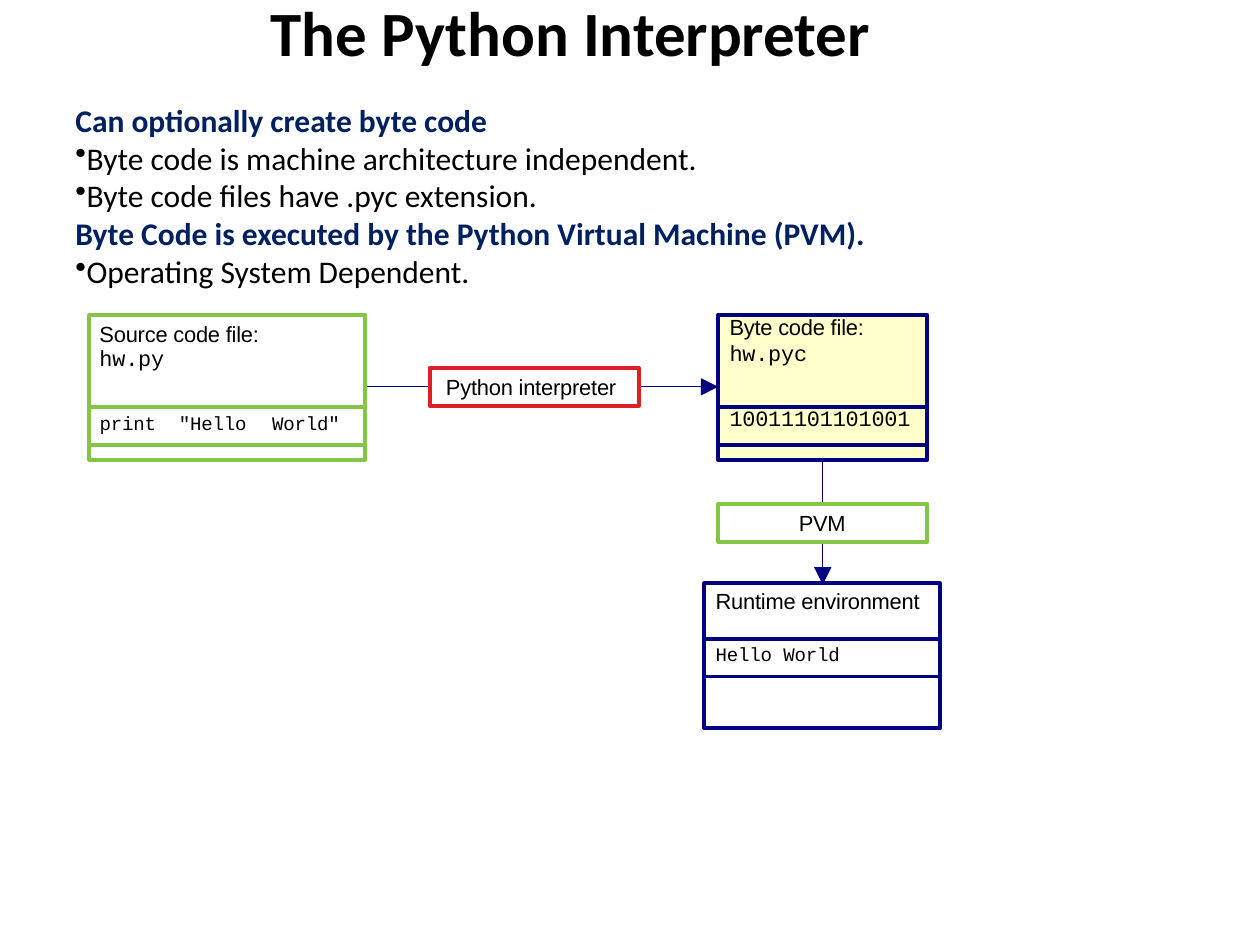
from dataclasses import dataclass
from typing import Any

from lxml.etree import SubElement
from pptx import Presentation
from pptx.dml.color import RGBColor
from pptx.enum.shapes import MSO_CONNECTOR, MSO_SHAPE
from pptx.enum.text import PP_ALIGN
from pptx.oxml.ns import qn
from pptx.util import Inches, Pt

COLORS = {
    "navy": "000080",
    "green": "84C446",
    "red": "DB2028",
    "cream": "FFFFCC",
    "white": "FFFFFF",
    "black": "000000",
    "heading": "002060",
}


@dataclass
class InterpreterSlide:
    """Draws the parts of the interpreter diagram on one slide."""

    slide: Any
    label_font: str = "Arial"
    code_font: str = "Courier New"
    body_font: str = "Calibri"
    label_size: float = 12.5
    code_size: float = 18.8
    border: float = 2.25

    def color(self, name):
        return RGBColor.from_string(COLORS[name])

    def box(self, left, top, width, height, outline, fill=None):
        box = self.slide.shapes.add_shape(
            MSO_SHAPE.RECTANGLE, Inches(left), Inches(top), Inches(width), Inches(height))
        box.shadow.inherit = False
        box.line.color.rgb = self.color(outline)
        box.line.width = Pt(self.border)
        if fill:
            box.fill.solid()
            box.fill.fore_color.rgb = self.color(fill)
        else:
            box.fill.background()

    def arrow(self, x1, y1, x2, y2):
        arrow = self.slide.shapes.add_connector(
            MSO_CONNECTOR.STRAIGHT, Inches(x1), Inches(y1), Inches(x2), Inches(y2))
        arrow.line.color.rgb = self.color("navy")
        arrow.line.width = Pt(0.75)
        SubElement(arrow.line._get_or_add_ln(), qn("a:tailEnd"), type="triangle", w="lg", len="lg")
        SubElement(arrow._element.spPr, qn("a:effectLst"))

    def frame(self, left, top, width, height, inset=0.0):
        frame = self.slide.shapes.add_textbox(
            Inches(left), Inches(top), Inches(width), Inches(height)).text_frame
        frame.word_wrap = True
        frame.margin_left = frame.margin_right = Inches(inset)
        frame.margin_top = frame.margin_bottom = Inches(inset / 2)
        return frame

    def paragraph(self, frame, text, font, size, color="black", bold=False, line=None,
                  before=0, indent=0.0, tracking=0, baseline=0, bullet=False):
        first = not frame.paragraphs[0].runs
        paragraph = frame.paragraphs[0] if first else frame.add_paragraph()
        run = paragraph.add_run()
        run.text = text
        paragraph.font.name = font
        paragraph.font.size = Pt(size)
        paragraph.font.bold = bold
        paragraph.font.color.rgb = self.color(color)
        paragraph.space_before = Pt(before)
        if line:
            paragraph.line_spacing = line
        properties = paragraph._p.get_or_add_pPr()
        properties.set("marL", str(Inches(indent)))
        properties.set("indent", "0")
        if bullet:
            mark = SubElement(properties, qn("a:buChar"), char="•")
            properties.find(qn("a:defRPr")).addprevious(mark)
        for key, value in (("spc", tracking), ("baseline", baseline)):
            if value:
                run._r.get_or_add_rPr().set(key, str(value))
        return paragraph

    def label(self, left, top, width, text):
        frame = self.frame(left, top, width, 0.2)
        self.paragraph(frame, text, self.label_font, self.label_size,
                       line=Pt(13.9), before=0.7, indent=0.01, tracking=-10)
        return frame

    def code(self, left, top, width, text):
        self.paragraph(self.frame(left, top, width, 0.2), text, self.code_font, self.code_size,
                       line=Pt(14.1), before=0.7, indent=0.01, tracking=-10, baseline=5000)

    def file_line(self, frame, text, before, indent):
        self.paragraph(frame, text, self.code_font, self.label_size,
                       line=0.94, before=before, indent=indent, tracking=-10)


def main():
    deck = Presentation()
    deck.slide_width, deck.slide_height = Inches(10), Inches(7.5)
    page = InterpreterSlide(deck.slides.add_slide(deck.slide_layouts[6]))

    page.arrow(2.9, 3.07, 5.7, 3.07)
    page.arrow(6.53, 3.67, 6.53, 4.64)
    for left, top, width, height, outline, fill in (
        (5.7, 2.5, 1.66, 1.15, "navy", "cream"),
        (0.71, 2.5, 2.19, 1.15, "green", None),
        (0.71, 3.23, 2.19, 0.3, "green", None),
        (5.7, 3.23, 1.66, 0.3, "navy", None),
        (3.41, 2.92, 1.66, 0.3, "red", "white"),
        (5.7, 4, 1.66, 0.3, "green", "white"),
        (5.59, 4.63, 1.87, 1.15, "navy", "white"),
        (5.59, 5.07, 1.87, 0.3, "navy", None),
    ):
        page.box(left, top, width, height, outline, fill)

    title = page.paragraph(page.frame(2.03, 0.23, 4.99, 0.63), "The Python Interpreter",
                           page.body_font, 36, bold=True, line=Pt(23.1), before=1.1, indent=0.01)
    title.alignment = PP_ALIGN.CENTER

    source_file = page.label(0.78, 2.56, 1.4, "Source code file:")
    page.file_line(source_file, "hw.py", 0.1, 0.01)
    page.label(3.53, 2.98, 1.5, "Python interpreter")
    page.label(6.33, 4.06, 0.43, "PVM")
    page.label(5.67, 4.68, 1.76, "Runtime environment")

    for left, width, word in ((0.78, 0.58, "print"), (1.41, 0.68, '"Hello'), (2.15, 0.68, 'World"')):
        page.code(left, 3.29, width, word)
    page.code(5.67, 5.12, 1.2, "Hello World")

    byte_file = page.frame(5.7, 2.5, 1.66, 1.15)
    page.paragraph(byte_file, "Byte code file:", page.label_font, page.label_size,
                   line=0.96, before=3.9, indent=0.09, tracking=-10)
    page.file_line(byte_file, "hw.pyc", 0.8, 0.09)
    page.file_line(byte_file, "10011101101001", 23, 0.09)

    points = page.frame(0.5, 0.75, 8.67, 2.29, inset=0.1)
    for text, heading in (
        ("Can optionally create byte code", True),
        ("Byte code is machine architecture independent.", False),
        ("Byte code files have .pyc extension.", False),
        ("Byte Code is executed by the Python Virtual Machine (PVM).", True),
        ("Operating System Dependent.", False),
    ):
        page.paragraph(points, text, page.body_font, 18, color="heading" if heading else "black",
                       bold=heading, bullet=not heading)

    deck.save("out.pptx")


if __name__ == "__main__":
    main()
